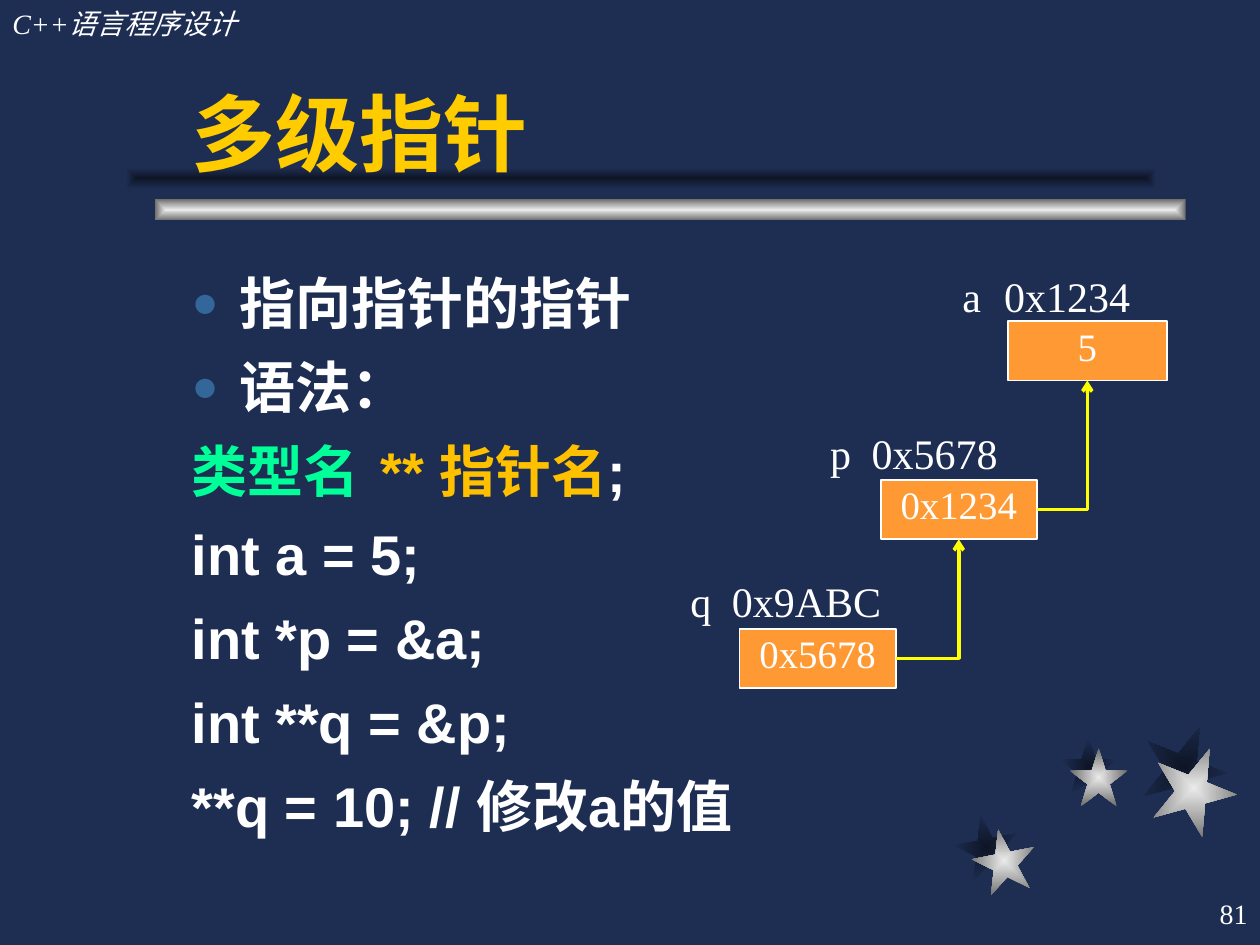
import pptx
import pptx.util
import pptx.oxml
import pptx.oxml.ns
from pptx.dml.color import RGBColor
from pptx.enum.shapes import MSO_CONNECTOR, MSO_SHAPE
from pptx.enum.text import MSO_ANCHOR, MSO_AUTO_SIZE, PP_ALIGN

Pt, qn = pptx.util.Pt, pptx.oxml.ns.qn
W, H = pptx.util.Inches(10), pptx.util.Inches(7.5)

NAVY = RGBColor(0x1E, 0x2E, 0x53)
DARK = RGBColor(0x0E, 0x15, 0x26)
SILVER = RGBColor(0xEA, 0xEA, 0xEA)
GREY = RGBColor(0x6C, 0x6C, 0x6C)
WHITE = RGBColor(0xFF, 0xFF, 0xFF)
GOLD = RGBColor(0xFF, 0xCC, 0x00)
AMBER = RGBColor(0xFF, 0xC0, 0x00)
GREEN = RGBColor(0x00, 0xFF, 0x99)
ORANGE = RGBColor(0xFF, 0x99, 0x33)
YELLOW = RGBColor(0xFF, 0xFF, 0x00)
BULLET = RGBColor(0x33, 0x66, 0x99)

SERIF, SANS = "Times New Roman", "Arial"
TITLE = {"name": SANS, "size": Pt(48), "bold": True}
BODY = {"name": SANS, "size": Pt(32), "bold": True}
HEADER = {"name": SERIF, "size": Pt(16), "italic": True}
NUMBER = {"name": SERIF, "size": Pt(16)}
LABEL = {"name": SERIF, "size": Pt(24)}
VALUE = {"name": SERIF, "size": Pt(22.2)}

# All places are percentages of the slide's width and height.
SHADE, METAL = (DARK, NAVY), (SILVER, GREY)
STAR, BAR = MSO_SHAPE.STAR_5_POINT, MSO_SHAPE.RECTANGLE
DECORATIONS = [
    (STAR, (75.8, 86.27, 5, 6.67), -11, SHADE),
    (STAR, (84.1, 78, 4.6, 6.13), 0, SHADE),
    (STAR, (90.6, 76.67, 6.7, 8.93), 22, SHADE),
    (STAR, (77.2, 87.73, 5, 6.67), -11, METAL),
    (STAR, (84.9, 79.2, 4.6, 6.13), 0, METAL),
    (STAR, (91.4, 78.93, 6.7, 8.93), 22, METAL),
    (BAR, (12.3, 21.07, 81.8, 2.27), 0, METAL),
    (BAR, (10, 17.73, 81.8, 2.27), 0, SHADE),
]
LINES = [
    (True, [("指向指针的指针", WHITE)]),
    (True, [("语法：", WHITE)]),
    (False, [("类型名\t", GREEN), ("** 指针名", AMBER), (";", WHITE)]),
    (False, [("int a = 5;", WHITE)]),
    (False, [("int *p = &a;", WHITE)]),
    (False, [("int **q = &p;", WHITE)]),
    (False, [("**q = 10; // 修改a的值", WHITE)]),
]
VARIABLES = [
    ("a\t0x1234", (75.4, 28, 19.5, 6.67), "5", (80, 34, 12.6, 6.27)),
    ("p\t0x5678", (64.9, 44.53, 16.7, 6.67), "0x1234", (69.9, 50.8, 12.4, 6.27)),
    ("q\t0x9ABC", (53.8, 60.27, 19.8, 6.67), "0x5678", (58.7, 66.53, 12.4, 6.27)),
]


def place(x, y, w, h):
    return [round(v * side / 100) for v, side in zip((x, y, w, h), (W, H, W, H))]


def move(s, area):
    s.left, s.top, s.width, s.height = place(*area)


def add_xml(parent, tag, **attrs):
    child = pptx.oxml.parse_xml(f'<a:{tag} {pptx.oxml.ns.nsdecls("a")}/>')
    for name, value in attrs.items():
        child.set(name, str(value))
    parent.append(child)
    return child


def add_tab(p, inches):
    tabs = add_xml(p._p.get_or_add_pPr(), "tabLst")
    add_xml(tabs, "tab", pos=pptx.util.Inches(inches), algn="l")


def add_run(p, text, style, color=WHITE):
    r = p.add_run()
    r.text = text
    for key, value in style.items():
        setattr(r.font, key, value)
    r.font.color.rgb = color


def set_frame(tf, anchor=MSO_ANCHOR.TOP):
    tf.word_wrap, tf.auto_size, tf.vertical_anchor = True, MSO_AUTO_SIZE.NONE, anchor
    return tf.paragraphs[0]


def add_text(shapes, area, text, style, anchor=MSO_ANCHOR.TOP, align=PP_ALIGN.LEFT, tab=None):
    p = set_frame(shapes.add_textbox(*place(*area)).text_frame, anchor)
    p.alignment = align
    if tab:
        add_tab(p, tab)
    add_run(p, text, style)


def add_decoration(shapes, kind, area, angle, colors):
    s = shapes.add_shape(kind, *place(*area))
    s.rotation, s.shadow.inherit = angle, False
    s.line.fill.background()
    s.fill.gradient()
    for stop, color in zip(s.fill.gradient_stops, colors):
        stop.color.rgb = color
    grad = s.element.spPr.find(qn("a:gradFill"))
    grad.remove(grad.find(qn("a:lin")))
    add_xml(add_xml(grad, "path", path="rect"), "fillToRect", l=50000, t=50000, r=50000, b=50000)


def add_line(p, bulleted, runs, first):
    pPr = p._p.get_or_add_pPr()
    hang = pptx.util.Inches(0.38) if bulleted else 0
    pPr.set("marL", str(hang))
    pPr.set("indent", str(-hang))
    p.space_before = Pt(0 if first else 9.5)
    if bulleted:
        add_xml(add_xml(pPr, "buClr"), "srgbClr", val=BULLET)
        add_xml(pPr, "buSzPct", val=80000)
        add_xml(pPr, "buChar", char="●")
    else:
        add_xml(pPr, "buNone")
    if "\t" in runs[0][0]:
        add_tab(p, 1.73)
    for text, color in runs:
        add_run(p, text, BODY, color)


def add_box(shapes, area, text):
    s = shapes.add_shape(MSO_SHAPE.RECTANGLE, *place(*area))
    s.shadow.inherit = False
    s.fill.solid()
    s.fill.fore_color.rgb = ORANGE
    s.line.color.rgb, s.line.width = WHITE, Pt(1)
    p = set_frame(s.text_frame)
    p.alignment, p.line_spacing = PP_ALIGN.CENTER, 0.9
    add_run(p, text, VALUE)
    return s


def add_pointer(shapes, source, target):
    c = shapes.add_connector(
        MSO_CONNECTOR.ELBOW, source.left + source.width, source.top + source.height // 2,
        target.left + target.width // 2, target.top + target.height)
    c.begin_connect(source, 3)
    c.end_connect(target, 2)
    spPr = c.element.spPr
    spPr.find(qn("a:prstGeom")).set("prst", "bentConnector2")
    c.line.color.rgb, c.line.width = YELLOW, Pt(2)
    add_xml(spPr.find(qn("a:ln")), "tailEnd", type="arrow")
    add_xml(spPr, "effectLst")


def main():
    prs = pptx.Presentation()
    prs.slide_width, prs.slide_height = W, H
    slide = prs.slides.add_slide(prs.slide_layouts[1])
    slide.background.fill.solid()
    slide.background.fill.fore_color.rgb = NAVY
    shapes = slide.shapes
    title, body = shapes.title, slide.placeholders[1]

    for decoration in DECORATIONS:
        add_decoration(shapes, *decoration)
    add_text(shapes, (0, 0, 30.8, 4.93), "C++语言程序设计", HEADER)

    for s, area in ((title, (14.2, 3.33, 78.3, 16.67)), (body, (14.2, 27.73, 79.2, 60))):
        move(s, area)
        shapes._spTree.append(s.element)
    p = set_frame(title.text_frame, MSO_ANCHOR.BOTTOM)
    p.alignment = PP_ALIGN.LEFT
    add_run(p, "多级指针", TITLE, GOLD)

    p = set_frame(body.text_frame)
    for i, (bulleted, runs) in enumerate(LINES):
        add_line(body.text_frame.add_paragraph() if i else p, bulleted, runs, i == 0)

    add_text(shapes, (79.2, 93.33, 20.8, 6.67), "81", NUMBER, MSO_ANCHOR.MIDDLE, PP_ALIGN.RIGHT)

    boxes = []
    for label, label_area, value, box_area in VARIABLES:
        boxes.append(add_box(shapes, box_area, value))
        add_text(shapes, label_area, label, LABEL, tab=0.33)
    for target, source in zip(boxes, boxes[1:]):
        add_pointer(shapes, source, target)
    prs.save("out.pptx")


if __name__ == "__main__":
    main()
